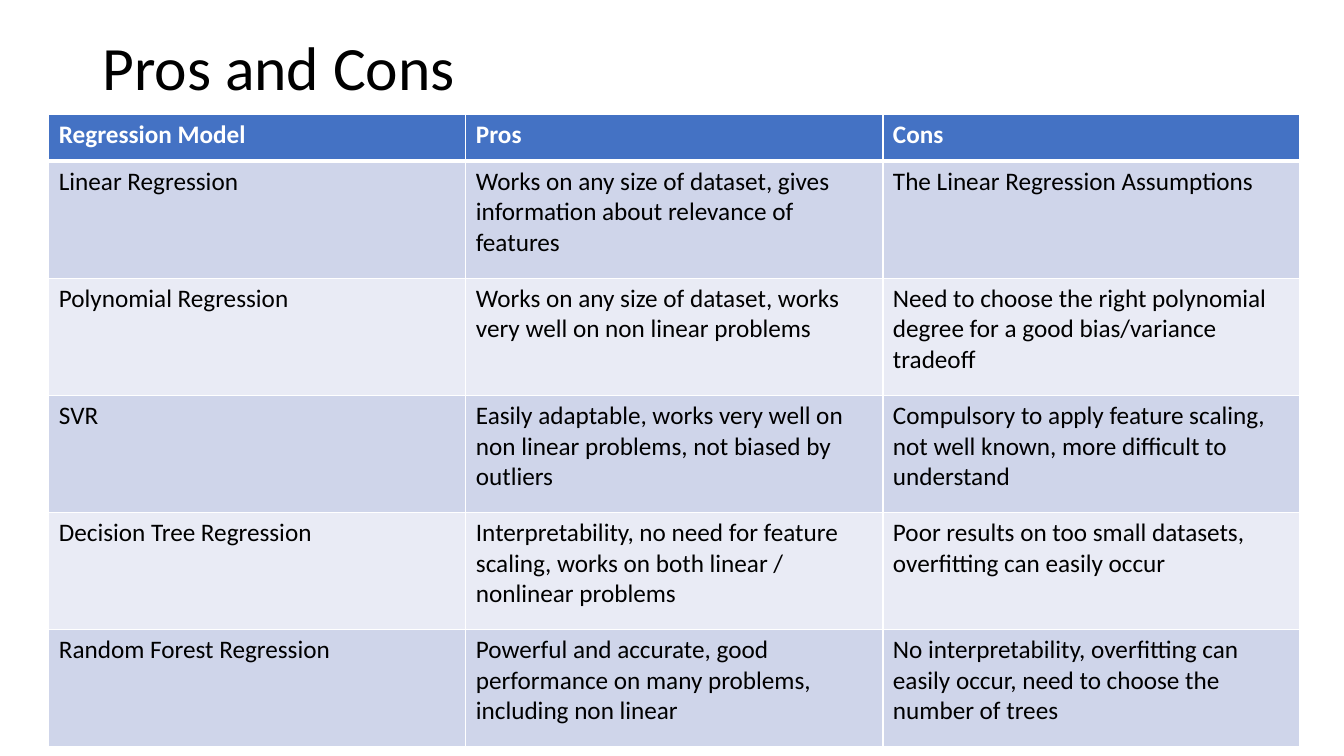
from lxml import etree
from pptx import Presentation
from pptx.dml.color import RGBColor
from pptx.enum import text
from pptx.oxml import ns
from pptx.util import Cm, Pt

# Content
TITLE = "Pros and Cons"
MODELS = [
    ("Regression Model", "Pros", "Cons"),
    ("Linear Regression",
     "Works on any size of dataset, gives information about relevance of features",
     "The Linear Regression Assumptions"),
    ("Polynomial Regression",
     "Works on any size of dataset, works very well on non linear problems",
     "Need to choose the right polynomial degree for a good bias/variance tradeoff"),
    ("SVR",
     "Easily adaptable, works very well on non linear problems, not biased by outliers",
     "Compulsory to apply feature scaling, not well known, more difficult to understand"),
    ("Decision Tree Regression",
     "Interpretability, no need for feature scaling, works on both linear / nonlinear problems",
     "Poor results on too small datasets, overfitting can easily occur"),
    ("Random Forest Regression",
     "Powerful and accurate, good performance on many problems, including non linear",
     "No interpretability, overfitting can easily occur, need to choose the number of trees"),
]


class Theme:
    font = "Calibri"
    title_size, cell_size = 44, 18
    ink, white = "000000", "FFFFFF"
    header, bands = "4472C4", ("CFD5EA", "E9EBF5")
    rule, header_rule = 1, 3


# Layout
TITLE_BOX = (Cm(2.33), Cm(0.68), Cm(29.21), Cm(2.2))
TABLE_LEFT, TABLE_TOP = Cm(1.23), Cm(2.88)
COLUMN_WIDTH, HEADER_HEIGHT, ROW_HEIGHT = Cm(10.51), Cm(1.18), Cm(2.95)


def style_text(paragraph, size, color, bold=False):
    for span in paragraph.runs:
        span.font.name = Theme.font
        span.font.size = Pt(size)
        span.font.bold = bold
        span.font.color.rgb = RGBColor.from_string(color)


def add_borders(cell, top, bottom):
    properties = cell._tc.get_or_add_tcPr()
    widths = {"L": Theme.rule, "R": Theme.rule, "T": top, "B": bottom}
    for side, width in widths.items():
        line = etree.SubElement(properties, ns.qn(f"a:ln{side}"), w=str(Pt(width)))
        fill = etree.SubElement(line, ns.qn("a:solidFill"))
        etree.SubElement(fill, ns.qn("a:srgbClr"), val=Theme.white)


def add_title(page):
    box = page.shapes.add_textbox(*TITLE_BOX)
    frame = box.text_frame
    frame.word_wrap = True
    frame.vertical_anchor = text.MSO_ANCHOR.MIDDLE
    frame.text = TITLE
    frame.paragraphs[0].line_spacing = 0.9
    style_text(frame.paragraphs[0], Theme.title_size, Theme.ink)


def add_model_table(page):
    row_count, column_count = len(MODELS), len(MODELS[0])
    height = HEADER_HEIGHT + ROW_HEIGHT * (row_count - 1)
    table = page.shapes.add_table(row_count, column_count, TABLE_LEFT, TABLE_TOP,
                                  COLUMN_WIDTH * column_count, height).table
    for column in table.columns:
        column.width = COLUMN_WIDTH
    for row_index, entries in enumerate(MODELS):
        is_header = row_index == 0
        table.rows[row_index].height = HEADER_HEIGHT if is_header else ROW_HEIGHT
        background = Theme.header if is_header else Theme.bands[(row_index - 1) % 2]
        top = Theme.header_rule if row_index == 1 else Theme.rule
        bottom = Theme.header_rule if is_header else Theme.rule
        for column_index, entry in enumerate(entries):
            cell = table.cell(row_index, column_index)
            cell.text_frame.text = entry
            style_text(cell.text_frame.paragraphs[0], Theme.cell_size,
                       Theme.white if is_header else Theme.ink, is_header)
            add_borders(cell, top, bottom)
            cell.fill.solid()
            cell.fill.fore_color.rgb = RGBColor.from_string(background)


def main():
    deck = Presentation()
    deck.slide_width, deck.slide_height = Cm(33.87), Cm(19.05)
    page = deck.slides.add_slide(deck.slide_layouts[6])
    add_title(page)
    add_model_table(page)
    deck.save("out.pptx")


if __name__ == "__main__":
    main()
